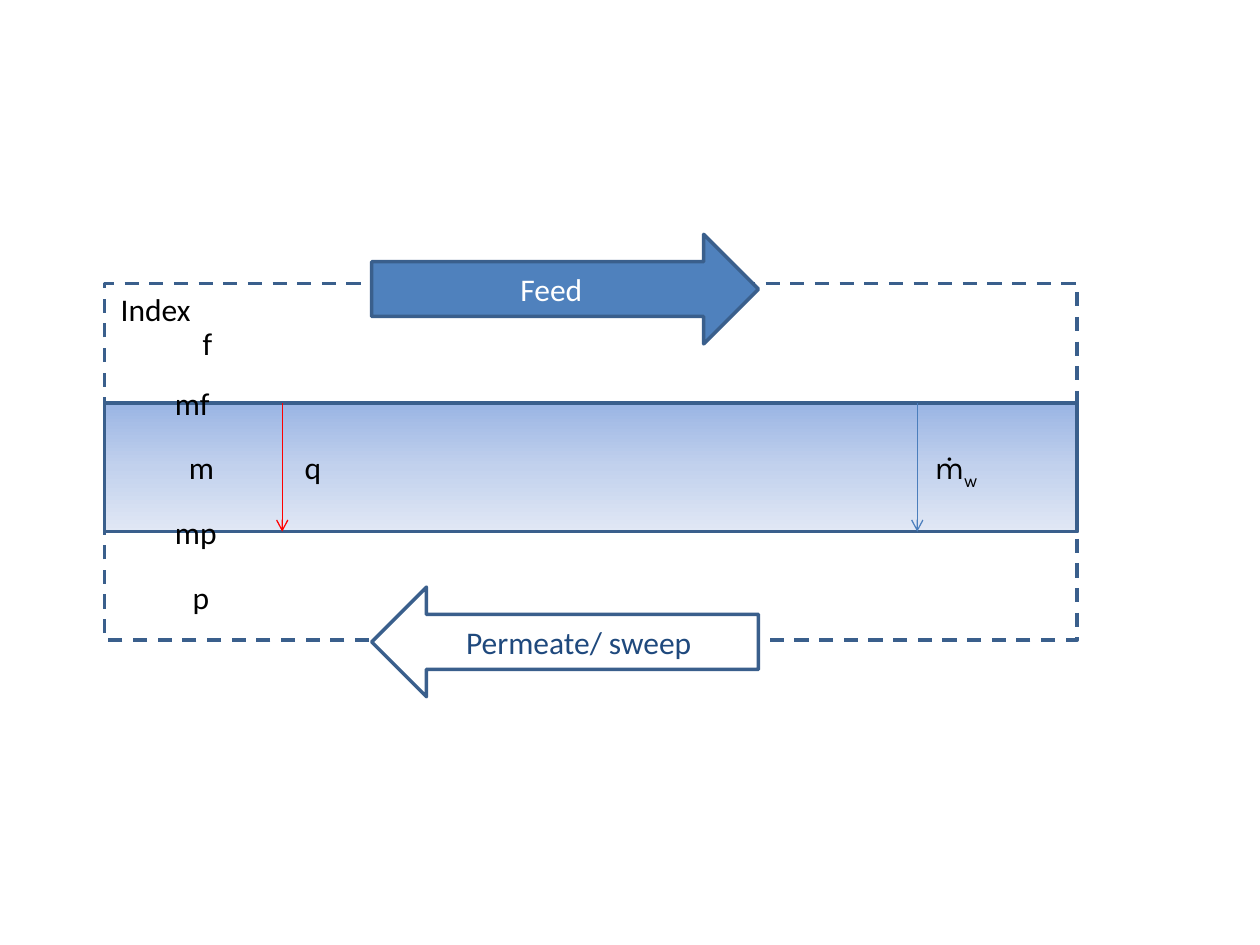
import copy

import pptx
import pptx.dml.color
import pptx.enum.dml
import pptx.enum.shapes
import pptx.enum.text
import pptx.oxml.ns
import pptx.oxml.xmlchemy
import pptx.util

RGBColor = pptx.dml.color.RGBColor
Shapes = pptx.enum.shapes.MSO_SHAPE
Inches = pptx.util.Inches
qn = pptx.oxml.ns.qn

WHITE = RGBColor(0xFF, 0xFF, 0xFF)
BLACK = RGBColor(0x00, 0x00, 0x00)
RED = RGBColor(0xFF, 0x00, 0x00)
NAVY = RGBColor(0x1F, 0x49, 0x7D)
BLUE = RGBColor(0x4F, 0x81, 0xBD)
FLUX_BLUE = RGBColor(0x4B, 0x7E, 0xBC)
OUTLINE = RGBColor(0x3A, 0x5F, 0x8C)
MEMBRANE_COLORS = (
    RGBColor(0x9A, 0xB5, 0xE4),
    RGBColor(0xC2, 0xD1, 0xED),
    RGBColor(0xE1, 0xE8, 0xF5),
)

WIDTH, HEIGHT = 10, 7.5
MODULE_LEFT, MODULE_WIDTH = 0.83, 7.72
MODULE_TOP, MODULE_HEIGHT = 2.25, 2.83
MEMBRANE_TOP, MEMBRANE_HEIGHT = 3.2, 1.02
MEMBRANE_BOTTOM = MEMBRANE_TOP + MEMBRANE_HEIGHT
LABEL_HEIGHT = 0.4
MIDDLE_LABEL_TOP = MEMBRANE_TOP + (MEMBRANE_HEIGHT - LABEL_HEIGHT) / 2
STREAM_LEFT, STREAM_WIDTH, STREAM_HEIGHT = 2.95, 3.07, 0.87

# text, left, top, width
INDEX_LABELS = (
    ("Index", 0.86, MODULE_TOP, 0.87),
    ("f", 1.51, 2.52, 0.35),
    ("mf", 1.29, MEMBRANE_TOP - LABEL_HEIGHT / 2, 0.57),
    ("m", 1.4, MIDDLE_LABEL_TOP, 0.35),
    ("mp", 1.29, MEMBRANE_BOTTOM - LABEL_HEIGHT / 2, 0.57),
    ("p", 1.43, 4.54, 0.41),
)


def write_text(frame, text, color=BLACK, font="Calibri", size=18,
               align=pptx.enum.text.PP_ALIGN.LEFT, subscript=""):
    paragraph = frame.paragraphs[0]
    paragraph.alignment = align
    for content in filter(None, (text, subscript)):
        run = paragraph.add_run()
        run.text = content
        run.font.name = font
        run.font.size = pptx.util.Pt(size)
        run.font.color.rgb = color
    if subscript:
        run.font._element.set("baseline", "-25000")


def add_outlined_shape(slide, kind, left, top, width, height, fill=WHITE):
    shape = slide.shapes.add_shape(
        kind, Inches(left), Inches(top), Inches(width), Inches(height))
    shape.shadow.inherit = False
    shape.fill.solid()
    shape.fill.fore_color.rgb = fill
    shape.line.color.rgb = OUTLINE
    shape.line.width = pptx.util.Pt(2)
    return shape


def fill_downward_gradient(shape, colors):
    """Spread the colours evenly from the top edge to the bottom edge."""
    shape.fill.gradient()
    shape.fill.gradient_angle = 270
    stop_list = shape._element.spPr.find(".//" + qn("a:gsLst"))
    while len(stop_list) < len(colors):
        stop_list.append(copy.deepcopy(stop_list[0]))
    for number, (stop, color) in enumerate(zip(shape.fill.gradient_stops, colors)):
        stop.position = number / (len(colors) - 1)
        stop.color.rgb = color


def add_stream(slide, kind, center, text, fill, color):
    arrow = add_outlined_shape(slide, kind, STREAM_LEFT, center - STREAM_HEIGHT / 2,
                               STREAM_WIDTH, STREAM_HEIGHT, fill)
    arrow.text_frame.vertical_anchor = pptx.enum.text.MSO_ANCHOR.MIDDLE
    write_text(arrow.text_frame, text, color=color,
               align=pptx.enum.text.PP_ALIGN.CENTER)


def add_flux(slide, x, color):
    """Draw a thin arrow across the membrane."""
    connector = slide.shapes.add_connector(
        pptx.enum.shapes.MSO_CONNECTOR.STRAIGHT,
        Inches(x), Inches(MEMBRANE_TOP), Inches(x), Inches(MEMBRANE_BOTTOM))
    connector.line.color.rgb = color
    connector.line.width = pptx.util.Pt(0.75)
    line = connector.line._get_or_add_ln()
    line.append(pptx.oxml.xmlchemy.OxmlElement("a:tailEnd"))
    line[-1].set("type", "arrow")
    connector._element.spPr.append(pptx.oxml.xmlchemy.OxmlElement("a:effectLst"))


def add_label(slide, text, left, top, width, **text_format):
    box = slide.shapes.add_textbox(
        Inches(left), Inches(top), Inches(width), Inches(LABEL_HEIGHT))
    box.text_frame.word_wrap = True
    box.text_frame.auto_size = pptx.enum.text.MSO_AUTO_SIZE.SHAPE_TO_FIT_TEXT
    write_text(box.text_frame, text, **text_format)


def main():
    presentation = pptx.Presentation()
    presentation.slide_width = Inches(WIDTH)
    presentation.slide_height = Inches(HEIGHT)
    slide = presentation.slides.add_slide(presentation.slide_layouts[6])

    module = add_outlined_shape(slide, Shapes.RECTANGLE, MODULE_LEFT, MODULE_TOP,
                                MODULE_WIDTH, MODULE_HEIGHT)
    module.line.dash_style = pptx.enum.dml.MSO_LINE.DASH
    membrane = add_outlined_shape(slide, Shapes.RECTANGLE, MODULE_LEFT, MEMBRANE_TOP,
                                  MODULE_WIDTH, MEMBRANE_HEIGHT)
    fill_downward_gradient(membrane, MEMBRANE_COLORS)

    add_flux(slide, 7.28, FLUX_BLUE)
    add_label(slide, "ṁ", 7.32, MIDDLE_LABEL_TOP, 0.55, font="Karla", subscript="w")
    add_stream(slide, Shapes.RIGHT_ARROW, 2.295, "Feed", BLUE, WHITE)
    add_stream(slide, Shapes.LEFT_ARROW, 5.095, "Permeate/ sweep", WHITE, NAVY)
    add_flux(slide, 2.24, RED)
    add_label(slide, "q", 2.32, MIDDLE_LABEL_TOP, 0.87)
    for text, left, top, width in INDEX_LABELS:
        add_label(slide, text, left, top, width)

    presentation.save("out.pptx")


if __name__ == "__main__":
    main()
